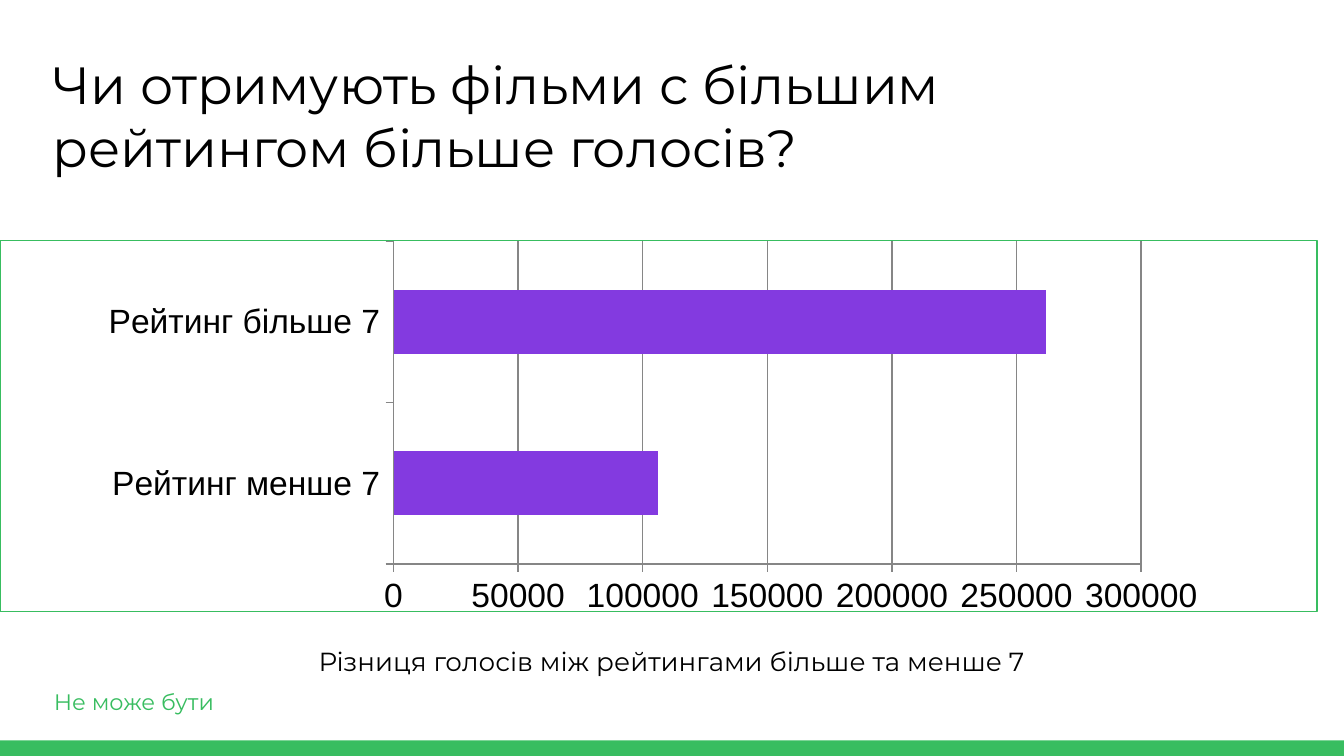
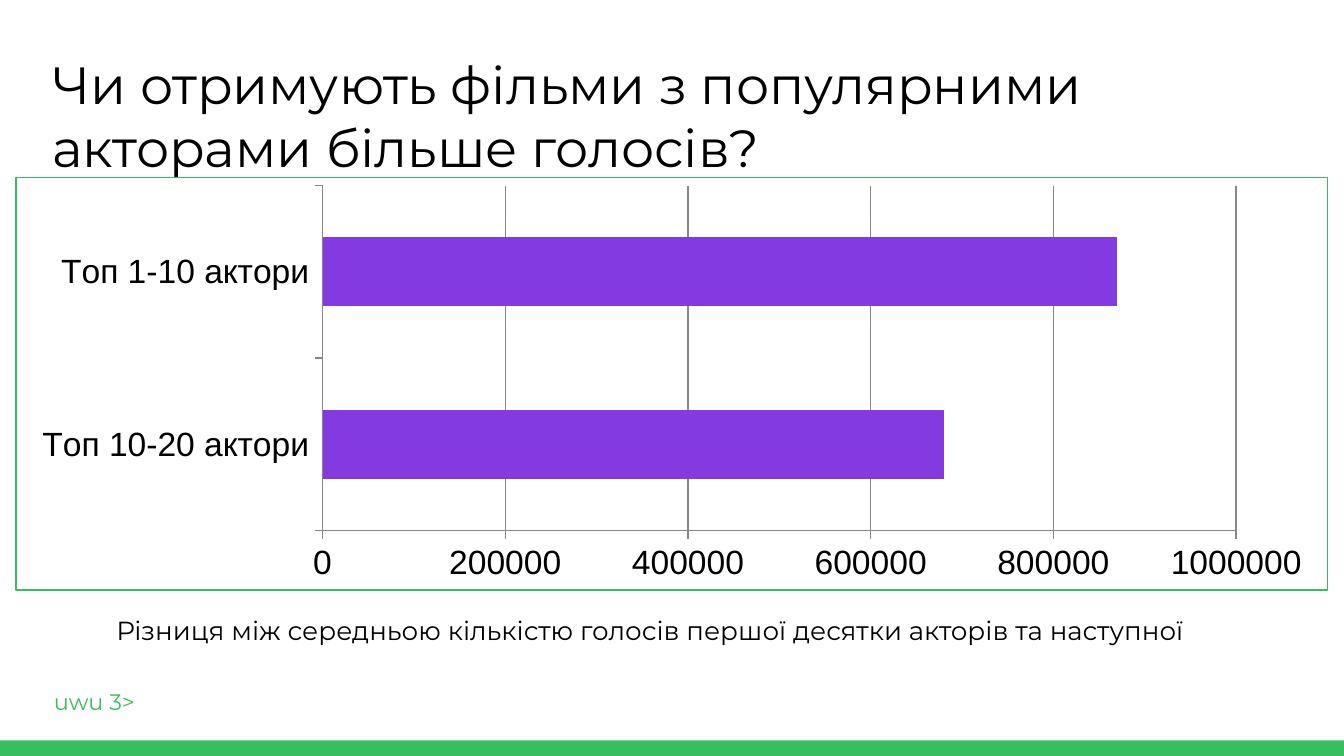
import pptx
import pptx.util
import pptx.chart.data
import pptx.dml.color
import pptx.enum.chart
import pptx.enum.shapes
import pptx.enum.text
from lxml import etree
from pptx.util import Inches

GREEN, PURPLE, BLACK, WHITE, GREY = "38BD60", "833AE0", "000000", "FFFFFF", "868686"
ALIGN = pptx.enum.text.PP_ALIGN
RECT = pptx.enum.shapes.MSO_SHAPE.RECTANGLE
CHART = pptx.enum.chart.XL_CHART_TYPE


def rgb(value):
    return pptx.dml.color.RGBColor.from_string(value)


def write(sp, box, text, size, color, align=ALIGN.LEFT, inset=0):
    sp.left, sp.top, sp.width, sp.height = [Inches(v) for v in box]
    tf = sp.text_frame
    tf.text = text
    tf.word_wrap = True
    tf.auto_size = pptx.enum.text.MSO_AUTO_SIZE.NONE
    tf.vertical_anchor = pptx.enum.text.MSO_ANCHOR.TOP
    tf.margin_left = tf.margin_right = Inches(inset)
    tf.margin_top = tf.margin_bottom = Inches(inset)
    p = tf.paragraphs[0]
    p.alignment = align
    font = p.runs[0].font
    font.name = "Montserrat"
    font.size = pptx.util.Pt(size)
    font.color.rgb = rgb(color)


slides = [
    dict(title="Чи отримують фільми с більшим рейтингом більше голосів?",
         note="Не може бути",
         caption="Різниця голосів між рейтингами більше та менше 7",
         caption_box=(1.77, 4.7, 6.46, 0.44),
         frame=(0, 1.79, 9.8, 2.76), chart_box=(0, 1.79, 9.76, 2.83),
         kind=CHART.BAR_CLUSTERED, top=300000, step=50000,
         votes={"Рейтинг менше 7": 106000, "Рейтинг більше 7": 262000},
         plot=dict(x=0.3, y=0, w=0.57, h=0.85)),
    dict(title="Чи отримують фільми з популярними акторами більше голосів?",
         note="uwu 3>",
         caption="Різниця між середньою кількістю голосів першої десятки акторів та наступної",
         caption_box=(0.51, 4.47, 8.66, 0.44),
         frame=(0.12, 1.32, 9.76, 3.07), chart_box=(0.12, 1.32, 9.76, 3.07),
         kind=CHART.BAR_STACKED, top=1000000, step=200000,
         votes={"Топ 10-20 актори": 680000, "Топ 1-10 актори": 870000},
         plot=None),
]

# Widescreen 16:9
prs = pptx.Presentation()
prs.slide_width = Inches(10)
prs.slide_height = prs.slide_width * 9 // 16
layout = prs.slide_layouts[5]

for i, d in enumerate(slides):
    s = prs.slides.add_slide(layout)

    # Bottom band, moved to the layout so that both slides share it
    if i == 0:
        band = s.shapes.add_shape(RECT, 0, Inches(5.51), prs.slide_width, Inches(0.13))
        band.shadow.inherit = False
        band.fill.solid()
        band.fill.fore_color.rgb = rgb(GREEN)
        band.line.fill.background()
        layout.shapes.element.append(band.element)

    # Title and green note
    write(s.shapes.title, (0.39, 0.39, 8.08, 0.69), d["title"], 28, BLACK)
    write(s.shapes.add_textbox(0, 0, 0, 0), (0.4, 5.12, 7.81, 0.3), d["note"], 12, GREEN)

    # Frame behind the chart
    frame = s.shapes.add_shape(RECT, *[Inches(v) for v in d["frame"]])
    frame.shadow.inherit = False
    frame.fill.solid()
    frame.fill.fore_color.rgb = rgb(WHITE)
    frame.line.color.rgb = rgb(GREEN)
    frame.line.width = pptx.util.Pt(0.75)

    # Caption
    write(s.shapes.add_textbox(0, 0, 0, 0), d["caption_box"], d["caption"], 14, BLACK,
          ALIGN.CENTER, 0.1)

    # Bar chart
    data = pptx.chart.data.CategoryChartData()
    data.categories = list(d["votes"])
    data.add_series("Series 1", list(d["votes"].values()))
    chart = s.shapes.add_chart(d["kind"], *[Inches(v) for v in d["chart_box"]], data).chart
    chart.has_legend = False
    chart.has_title = False
    chart.font.name = "Arial"
    chart.font.size = pptx.util.Pt(18)
    chart.font.color.rgb = rgb(BLACK)
    plot = chart.plots[0]
    plot.vary_by_categories = False
    plot.gap_width = 150
    fill = plot.series[0].format.fill
    fill.solid()
    fill.fore_color.rgb = rgb(PURPLE)

    # Axes
    votes_axis = chart.value_axis
    votes_axis.minimum_scale, votes_axis.maximum_scale = 0, d["top"]
    votes_axis.major_unit = d["step"]
    votes_axis.has_major_gridlines = True
    votes_axis.major_gridlines.format.line.color.rgb = rgb(GREY)
    for axis in (chart.category_axis, votes_axis):
        axis.major_tick_mark = pptx.enum.chart.XL_TICK_MARK.OUTSIDE
        axis.format.line.color.rgb = rgb(GREY)

    # Fixed inner plot area
    if d["plot"]:
        area = plot._element.getparent()
        ns = "{%s}" % area.nsmap["c"]
        for old in area.findall(ns + "layout"):
            area.remove(old)
        lay = etree.Element(ns + "layout")
        area.insert(0, lay)
        manual = etree.SubElement(lay, ns + "manualLayout")
        settings = dict(layoutTarget="inner", xMode="edge", yMode="edge", **d["plot"])
        for key, value in settings.items():
            etree.SubElement(manual, ns + key).set("val", str(value))

prs.save("out.pptx")
